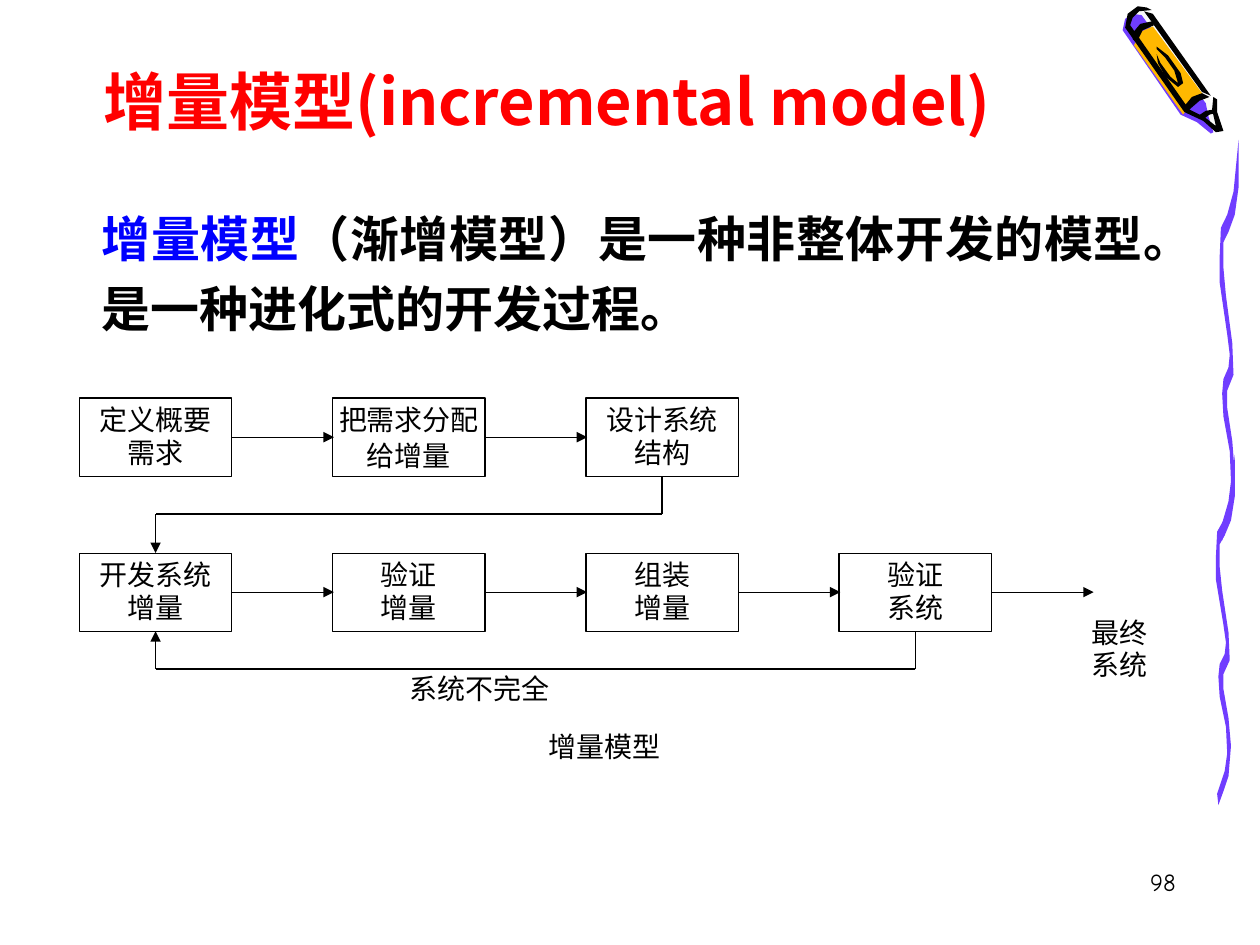
from dataclasses import dataclass

from lxml import etree
from pptx import Presentation
from pptx.dml.color import RGBColor
from pptx.enum.shapes import MSO_CONNECTOR, MSO_SHAPE
from pptx.enum.text import MSO_ANCHOR, PP_ALIGN
from pptx.oxml.ns import qn
from pptx.util import Inches, Pt

RECT = MSO_SHAPE.RECTANGLE
STRAIGHT = MSO_CONNECTOR.STRAIGHT
TOP, MIDDLE = MSO_ANCHOR.TOP, MSO_ANCHOR.MIDDLE
LEFT, CENTER, RIGHT, JUSTIFY = PP_ALIGN.LEFT, PP_ALIGN.CENTER, PP_ALIGN.RIGHT, PP_ALIGN.JUSTIFY


@dataclass(frozen=True)
class Theme:
    black: str = "000000"
    red: str = "FF0000"
    blue: str = "0000FF"
    violet: str = "703DFF"
    amber: str = "FFB800"
    pale: str = "F8F8F8"
    title_size: int = 36
    body_size: int = 28
    label_size: int = 16
    number_size: int = 14
    line_width: float = 0.75
    title_font: str = "Noto Sans CJK JP"
    body_font: str = "Noto Sans CJK SC"
    label_font: str = "Times New Roman"
    number_font: str = "Comic Neue"


theme = Theme()


def style_run(r, size, font, color, bold=False, east_asian=theme.body_font):
    r.font.size = Pt(size)
    r.font.name = font
    r.font.bold = bold
    r.font.color.rgb = RGBColor.from_string(color)
    ea = etree.Element(qn("a:ea"), typeface=east_asian)
    r.font._element.find(qn("a:latin")).addnext(ea)


def set_label(sp, text, align=CENTER, spacing=0.96, gap=0, anchor=MIDDLE, inset=0):
    tf = sp.text_frame
    tf.word_wrap = False
    tf.vertical_anchor = anchor
    tf.margin_left = tf.margin_right = Inches(inset)
    tf.margin_top = tf.margin_bottom = Inches(inset / 2)
    tf.text = text
    for i, p in enumerate(tf.paragraphs):
        p.alignment = align
        p.line_spacing = spacing
        p.space_before = Pt(gap if i else 0)
        for r in p.runs:
            style_run(r, theme.label_size, theme.label_font, theme.black)


prs = Presentation()
prs.slide_width, prs.slide_height = Inches(10), Inches(7.5)
s = prs.slides.add_slide(prs.slide_layouts[5])

wave = [(9.66, 6.3), (9.72, 6.12), (9.74, 5.98), (9.73, 5.77), (9.68, 5.53), (9.67, 5.37),
        (9.68, 5.27), (9.72, 5.19), (9.73, 5.1), (9.71, 4.96), (9.65, 4.6), (9.65, 4.42),
        (9.66, 4.22), (9.71, 4.13), (9.76, 3.97), (9.8, 3.61), (9.8, 3.94), (9.77, 4.13),
        (9.72, 4.25), (9.68, 4.32), (9.68, 4.5), (9.7, 4.69), (9.75, 5.02), (9.76, 5.24),
        (9.71, 5.35), (9.71, 5.47), (9.75, 5.7), (9.77, 5.92), (9.75, 6.16), (9.71, 6.28),
        (9.67, 6.39)]
upper_wave = [(x + 0.03, 1.11 + (y - 3.61) * 3.18 / 2.78) for x, y in wave]
pencil_light = [(9.68, 1), (9.63, 0.86), (9.53, 0.64), (9.11, 0.07), (9.04, 0.06),
                (8.97, 0.11), (8.96, 0.2), (9.41, 0.86), (9.56, 0.93), (9.66, 1.02)]
pencil_shade = [(9.06, 0.12), (9.57, 0.82), (9.59, 0.92), (9.63, 1.05), (9.61, 1.06),
                (9.5, 0.97), (9.37, 0.91), (8.91, 0.24), (8.93, 0.15), (8.99, 0.11)]
pencil_barrel = [(9, 0.36), (9.39, 0.91), (9.47, 0.8), (9.57, 0.78), (9.15, 0.21), (9.06, 0.25)]
pencil_tip = [(9.63, 0.87), (9.57, 0.88), (9.51, 0.92), (9.56, 0.94), (9.6, 0.91), (9.64, 0.9)]
pencil_outline = [(9.1, 0.06), (9.03, 0.05), (8.95, 0.11), (8.93, 0.22), (9.4, 0.89),
                  (9.55, 0.96), (9.65, 1.05), (9.71, 1.04), (9.66, 0.89), (9.66, 0.79),
                  (9.63, 0.77), (9.62, 0.87), (9.65, 1), (9.56, 0.93), (9.44, 0.87),
                  (9.52, 0.8), (9.6, 0.77), (9.54, 0.74), (9.46, 0.77), (9.41, 0.83),
                  (8.97, 0.2), (8.99, 0.14), (9.04, 0.09), (9.14, 0.08)]
pencil_edge = [(9.15, 0.11), (9.61, 0.76), (9.54, 0.73), (9.08, 0.09)]
pencil_band = [(9.14, 0.17), (9.05, 0.19), (9, 0.25), (8.99, 0.31), (9.02, 0.34),
               (9.07, 0.24), (9.16, 0.2)]
pencil_curl = [(9.18, 0.39), (9.25, 0.46), (9.32, 0.56), (9.35, 0.66), (9.29, 0.61),
               (9.21, 0.5), (9.18, 0.43), (9.19, 0.5), (9.25, 0.61), (9.35, 0.69),
               (9.39, 0.66), (9.37, 0.58), (9.27, 0.44), (9.18, 0.37)]

for points, color in [(wave, theme.violet), (upper_wave, theme.violet),
                      (pencil_light, theme.pale), (pencil_shade, theme.violet),
                      (pencil_barrel, theme.amber), (pencil_tip, theme.black),
                      (pencil_outline, theme.black), (pencil_edge, theme.black),
                      (pencil_band, theme.black), (pencil_curl, theme.black)]:
    corners = [(Inches(x), Inches(y)) for x, y in points]
    builder = s.shapes.build_freeform(*corners[0])
    builder.add_line_segments(corners[1:], close=True)
    sp = builder.convert_to_shape()
    sp.shadow.inherit = False
    sp.fill.solid()
    sp.fill.fore_color.rgb = RGBColor.from_string(color)
    sp.line.fill.background()

title = s.shapes.title
title.left, title.top, title.width, title.height = Inches(0.72), Inches(0.51), Inches(7.52), Inches(0.57)
tf = title.text_frame
tf.text = "增量模型(incremental model)"
tf.vertical_anchor = MIDDLE
tf.word_wrap = False
p = tf.paragraphs[0]
p.alignment = LEFT
style_run(p.runs[0], theme.title_size, theme.title_font, theme.red, True, theme.title_font)

sp = s.shapes.add_textbox(Inches(0.71), Inches(1.51), Inches(8.47), Inches(1.22))
tf = sp.text_frame
tf.word_wrap = True
p = tf.paragraphs[0]
p.alignment = JUSTIFY
p.line_spacing = 1.2
for text, color in [("增量模型", theme.blue),
                    ("（渐增模型）是一种非整体开发的模型。是一种进化式的开发过程。", theme.black)]:
    r = p.add_run()
    r.text = text
    style_run(r, theme.body_size, theme.body_font, color, True)

box_w, box_h = 1.21, 0.62
col_x = [0.63 + 2.01 * i for i in range(4)]
row_y = [3.16, 4.39]
steps = [["定义概要\n需求", "把需求分配\n给增量", "设计系统\n结构"],
         ["开发系统\n增量", "验证\n增量", "组装\n增量", "验证\n系统"]]
for y, labels in zip(row_y, steps):
    for x, label in zip(col_x, labels):
        sp = s.shapes.add_shape(RECT, Inches(x), Inches(y), Inches(box_w), Inches(box_h))
        sp.shadow.inherit = False
        sp.fill.background()
        sp.line.color.rgb = RGBColor.from_string(theme.black)
        sp.line.width = Pt(theme.line_width)
        wide = label.startswith("把需求")
        set_label(sp, label, spacing=1 if wide else 0.96, gap=1 if wide else 0)

mid_x = [x + box_w / 2 for x in col_x]
mid_y = [y + box_h / 2 for y in row_y]
bottom_y = [y + box_h for y in row_y]
turn_y, loop_y = 4.08, 5.31
links = [(x + box_w, y, x + 2.02, y, True)
         for y, count in zip(mid_y, (2, 4)) for x in col_x[:count]]
links += [(mid_x[2], bottom_y[0], mid_x[2], turn_y, False),
          (mid_x[2], turn_y, mid_x[0], turn_y, False),
          (mid_x[0], turn_y, mid_x[0], row_y[1], True),
          (mid_x[3], bottom_y[1], mid_x[3], loop_y, False),
          (mid_x[3], loop_y, mid_x[0], loop_y, False),
          (mid_x[0], loop_y, mid_x[0], bottom_y[1], True)]
for x1, y1, x2, y2, arrow in links:
    cn = s.shapes.add_connector(STRAIGHT, Inches(x1), Inches(y1), Inches(x2), Inches(y2))
    cn.line.color.rgb = RGBColor.from_string(theme.black)
    cn.line.width = Pt(theme.line_width)
    if arrow:
        etree.SubElement(cn.line._get_or_add_ln(), qn("a:tailEnd"), type="triangle")
    etree.SubElement(cn._element.spPr, qn("a:effectLst"))

for text, x, y, w, h, align, spacing in [
        ("系统不完全", 3.25, 5.31, 1.41, 0.31, JUSTIFY, 1),
        ("最终\n系统", 8.48, 4.85, 0.81, 0.62, CENTER, 0.96),
        ("增量模型", 3.17, 5.74, 3.25, 0.37, CENTER, 1)]:
    sp = s.shapes.add_textbox(Inches(x), Inches(y), Inches(w), Inches(h))
    set_label(sp, text, align, spacing)

sp = s.shapes.add_textbox(Inches(7.35), Inches(6.83), Inches(2.08), Inches(0.5))
set_label(sp, "98", RIGHT, 1, anchor=TOP, inset=0.1)
r = sp.text_frame.paragraphs[0].runs[0]
r.font.size = Pt(theme.number_size)
r.font.name = theme.number_font

prs.save("out.pptx")
